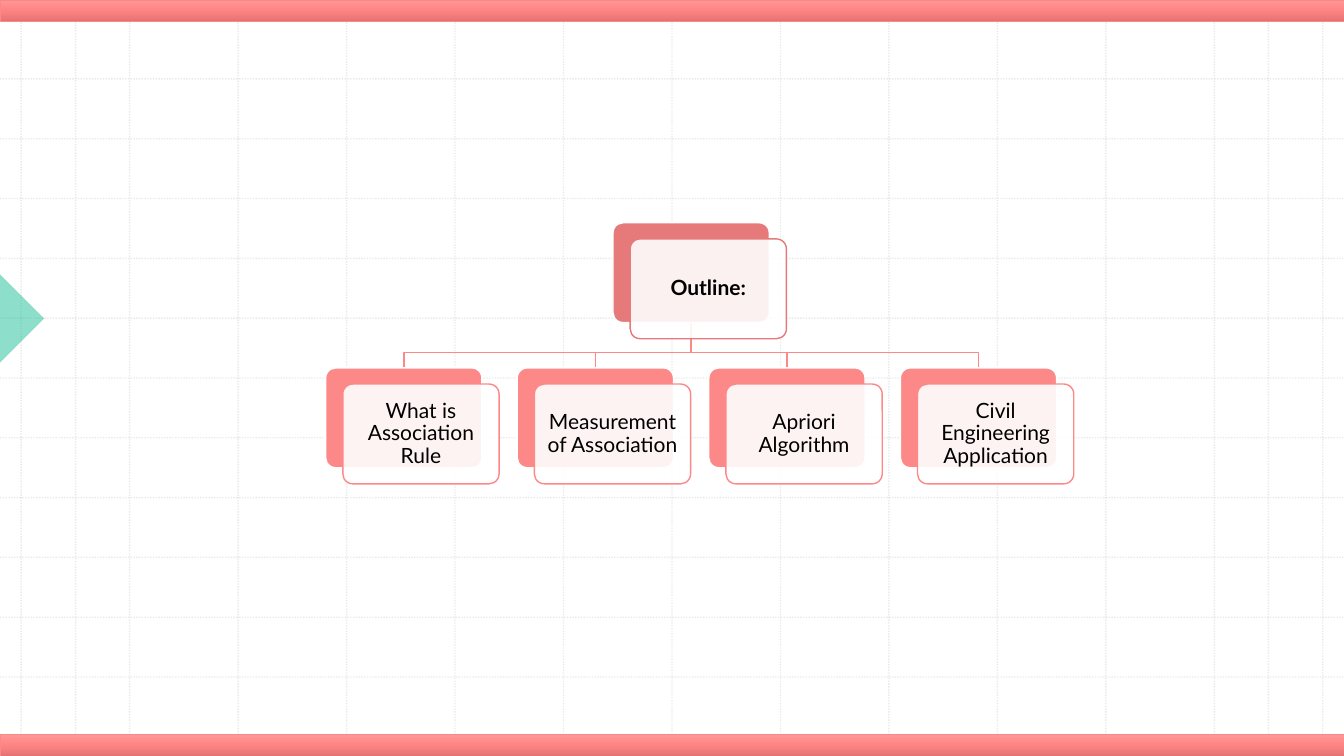
from copy import deepcopy

from lxml import etree
from pptx import Presentation
from pptx.dml.color import RGBColor
from pptx.enum.dml import MSO_LINE
from pptx.enum.shapes import MSO_CONNECTOR, MSO_SHAPE
from pptx.enum.text import MSO_ANCHOR, MSO_AUTO_SIZE, PP_ALIGN
from pptx.oxml.ns import qn
from pptx.util import Inches, Pt

STRAIGHT = MSO_CONNECTOR.STRAIGHT
RECT, ROUND = MSO_SHAPE.RECTANGLE, MSO_SHAPE.ROUNDED_RECTANGLE
WEDGE = MSO_SHAPE.RIGHT_TRIANGLE
DOTS = MSO_LINE.ROUND_DOT
MIDDLE, CENTER = MSO_ANCHOR.MIDDLE, PP_ALIGN.CENTER
NO_FIT = MSO_AUTO_SIZE.NONE

# Content
TITLE = "Outline:"
TOPICS = [
    "What is Association Rule",
    "Measurement of Association",
    "Apriori Algorithm",
    "Civil Engineering Application",
]
FONT, SIZE = "Lato", 15
BLACK, WHITE, GRAY, GREEN = "000000", "FFFFFF", "BCBCBC", "1EBE9B"
ROOT, LEAF, EDGE = "E67A7A", "FD8888", "FD8686"
BLEND = [(0, "FF9696"), (0.5, "FF8484"), (1, "E57373")]

# Layout in inches
WIDE, HIGH = 13.33, 7.5
BAR = 0.21
CELLS = 12
GRID_X, GRID_Y = 0.21, 0.19
INNER = 0.75
CARD_W, CARD_H = 1.55, 0.99
SHIFT_X, SHIFT_Y = 0.17, 0.16
LEFT, PITCH = 3.23, 1.9
ROOT_Y, BEND_Y, LEAF_Y = 2.21, 3.5, 3.65
INSET = 0.09

deck = Presentation()
deck.slide_width, deck.slide_height = Inches(WIDE), Inches(HIGH)
slide = deck.slides.add_slide(deck.slide_layouts[5])
shapes = slide.shapes


def color(code):
    return RGBColor.from_string(code)


def fade(fill, share):
    """Set the opacity of a solid fill."""
    tint = fill.find(".//" + qn("a:srgbClr"))
    etree.SubElement(tint, qn("a:alpha"), val=str(round(share * 100000)))


def stroke(shape, code, width):
    shape.line.color.rgb = color(code)
    shape.line.width = Pt(width)


def block(kind, x, y, w, h, code=None, share=1):
    shape = shapes.add_shape(kind, Inches(x), Inches(y), Inches(w), Inches(h))
    shape.shadow.inherit = False
    if code:
        shape.fill.solid()
        shape.fill.fore_color.rgb = color(code)
        if share < 1:
            fade(shape._element.spPr.find(qn("a:solidFill")), share)
    return shape


def rule(x1, y1, x2, y2):
    line = shapes.add_connector(
        STRAIGHT, Inches(x1), Inches(y1), Inches(x2), Inches(y2))
    stroke(line, GRAY, 1)
    line.line.dash_style = DOTS
    props = line._element.spPr
    fade(props.find(qn("a:ln")), 0.3)
    etree.SubElement(props, qn("a:effectLst"))


def bar(y):
    shape = block(RECT, 0, y, WIDE, BAR)
    stroke(shape, EDGE, 0.5)
    shape.fill.gradient()
    shape.fill.gradient_angle = 270
    stops = shape._element.spPr.find(".//" + qn("a:gsLst"))
    stops.append(deepcopy(stops[-1]))
    for stop, (place, code) in zip(shape.fill.gradient_stops, BLEND):
        stop.position = place
        stop.color.rgb = color(code)


def elbow(x1, x2):
    y1 = ROOT_Y + CARD_H
    pen = shapes.build_freeform(Inches(x1), Inches(y1))
    pen.add_line_segments(
        [(Inches(x), Inches(y))
         for x, y in [(x1, BEND_Y), (x2, BEND_Y), (x2, LEAF_Y)]], close=False)
    path = pen.convert_to_shape()
    path.shadow.inherit = False
    path.fill.background()
    stroke(path, LEAF, 1)


def card(x, y, code):
    """Draw a coloured card with a pale one in front; return the front."""
    back = block(ROUND, x, y, CARD_W, CARD_H, code)
    front = block(ROUND, x + SHIFT_X, y + SHIFT_Y, CARD_W, CARD_H, WHITE, 0.9)
    for shape, edge in [(back, WHITE), (front, code)]:
        shape.adjustments[0] = 0.1
        stroke(shape, edge, 1)
    return front


def write(shape, text, bold=False):
    frame = shape.text_frame
    frame.word_wrap = True
    frame.auto_size = NO_FIT
    frame.vertical_anchor = MIDDLE
    frame.margin_left = frame.margin_right = Inches(INSET)
    frame.margin_top = frame.margin_bottom = Inches(INSET)
    para = frame.paragraphs[0]
    para.alignment = CENTER
    para.line_spacing = 0.9
    run = para.add_run()
    run.text = text
    run.font.name, run.font.size, run.font.bold = FONT, Pt(SIZE), bold
    run.font.color.rgb = color(BLACK)


# Dotted grid
step_x = (WIDE - 2 * GRID_X) / CELLS
step_y = (HIGH - 2 * GRID_Y) / CELLS
for i in range(CELLS + 1):
    x, y = GRID_X + i * step_x, GRID_Y + i * step_y
    rule(x, 0, x, HIGH)
    rule(0, y, WIDE, y)
for x in (INNER, WIDE - INNER):
    rule(x, GRID_Y, x, HIGH - GRID_Y)

# Side marker and edge bars
side = 0.62
mark = block(WEDGE, -side / 2, 3.16 - side / 2, side, side, GREEN, 0.5)
mark.line.fill.background()
mark.rotation = 225
for y in (HIGH - BAR, 0):
    bar(y)

# Tree branches
lefts = [LEFT + i * PITCH for i in range(len(TOPICS))]
root_x = (lefts[0] + lefts[-1]) / 2
for x in reversed(lefts):
    elbow(root_x + CARD_W / 2, x + CARD_W / 2)

# Root card, with the title placed over it
front = card(root_x, ROOT_Y, ROOT)
title = shapes.title
title.left, title.top = front.left, front.top
title.width, title.height = front.width, front.height
front._element.addnext(title._element)
write(title, TITLE, bold=True)

# Topic cards
for x, topic in zip(lefts, TOPICS):
    write(card(x, LEAF_Y, LEAF), topic)

deck.save("out.pptx")
